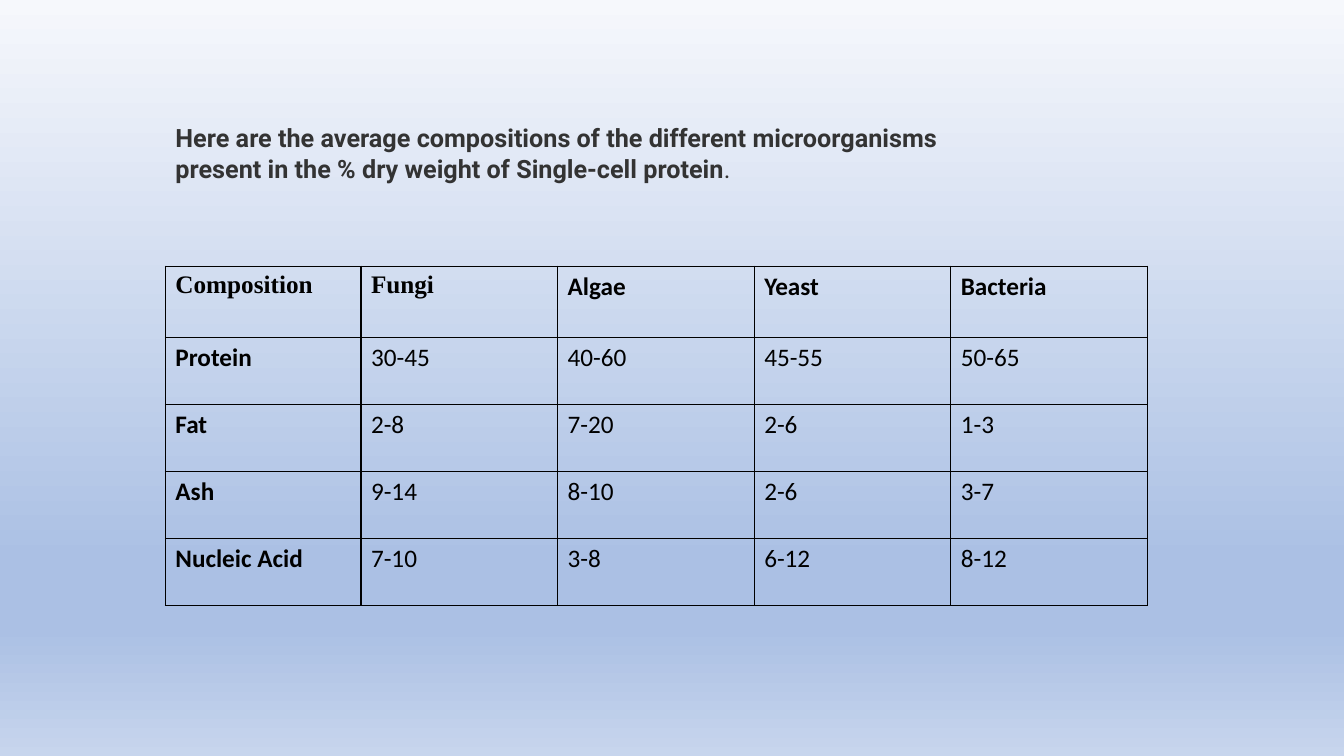
from lxml import etree
from pptx import Presentation
from pptx.dml.color import RGBColor
from pptx.oxml.ns import qn
from pptx.util import Inches, Pt

BACKGROUND_STOPS = [(0, "F6F8FC"), (74, "ABC0E4"), (83, "ABC0E4"), (100, "C7D5ED")]
COMPOSITIONS = [
    ["Composition", "Fungi", "Algae", "Yeast", "Bacteria"],
    ["Protein", "30-45", "40-60", "45-55", "50-65"],
    ["Fat", "2-8", "7-20", "2-6", "1-3"],
    ["Ash", "9-14", "8-10", "2-6", "3-7"],
    ["Nucleic Acid", "7-10", "3-8", "6-12", "8-12"],
]


def add_run(paragraph, content, font_name, color, bold):
    run = paragraph.add_run()
    run.text = content
    run.font.name = font_name
    run.font.size = Pt(18)
    run.font.bold = bold
    run.font.color.rgb = RGBColor.from_string(color)


def style_cell(cell, border_color=None):
    for side in "LRTB":
        line = etree.SubElement(cell._tc.get_or_add_tcPr(), qn(f"a:ln{side}"), w=str(Pt(1)))
        if border_color:
            fill = etree.SubElement(line, qn("a:solidFill"))
            etree.SubElement(fill, qn("a:srgbClr"), val=border_color)
        else:
            etree.SubElement(line, qn("a:noFill"))
    cell.fill.background()


presentation = Presentation()
presentation.slide_width = Inches(13.33)
presentation.slide_height = Inches(7.5)
slide = presentation.slides.add_slide(presentation.slide_layouts[6])

background = slide.background.fill
background.gradient()
background.gradient_angle = 270
stop_list = slide.element.xpath(".//a:gsLst")[0]
for stop in list(stop_list):
    stop_list.remove(stop)
for position, color in BACKGROUND_STOPS:
    stop = etree.SubElement(stop_list, qn("a:gs"), pos=str(position * 1000))
    etree.SubElement(stop, qn("a:srgbClr"), val=color)

intro_table = slide.shapes.add_table(
    1, 1, Inches(1.64), Inches(0.78), Inches(8.64), Inches(1.57)
).table
intro_table.first_row = False
intro_table.horz_banding = False
intro_table.rows[0].height = Inches(1.49)
intro_cell = intro_table.cell(0, 0)
style_cell(intro_cell)
intro_cell.margin_top = Inches(0.43)
intro_cell.margin_right = Inches(0.3)
paragraph = intro_cell.text_frame.paragraphs[0]
paragraph.line_spacing = 1.07
paragraph.space_after = Pt(7.5)
add_run(
    paragraph,
    "Here are the average compositions of the different microorganisms "
    "present in the % dry weight of Single-cell protein",
    "Roboto", "333333", True,
)
add_run(paragraph, ".", "Roboto", "333333", False)

table = slide.shapes.add_table(
    len(COMPOSITIONS), len(COMPOSITIONS[0]),
    Inches(1.64), Inches(2.64), Inches(9.73), Inches(3.37),
).table
table.first_row = False
table.horz_banding = False
for index, column in enumerate(table.columns):
    column.width = Inches(1.94 if index == 0 else 1.95)
for index, row in enumerate(table.rows):
    row.height = Inches(0.71 if index == 0 else 0.665)

for row_index, values in enumerate(COMPOSITIONS):
    for column_index, value in enumerate(values):
        cell = table.cell(row_index, column_index)
        style_cell(cell, "000000")
        font_name = "Times New Roman" if value in ("Composition", "Fungi") else "Calibri"
        is_heading = row_index == 0 or column_index == 0
        add_run(cell.text_frame.paragraphs[0], value, font_name, "000000", is_heading)

presentation.save("out.pptx")
